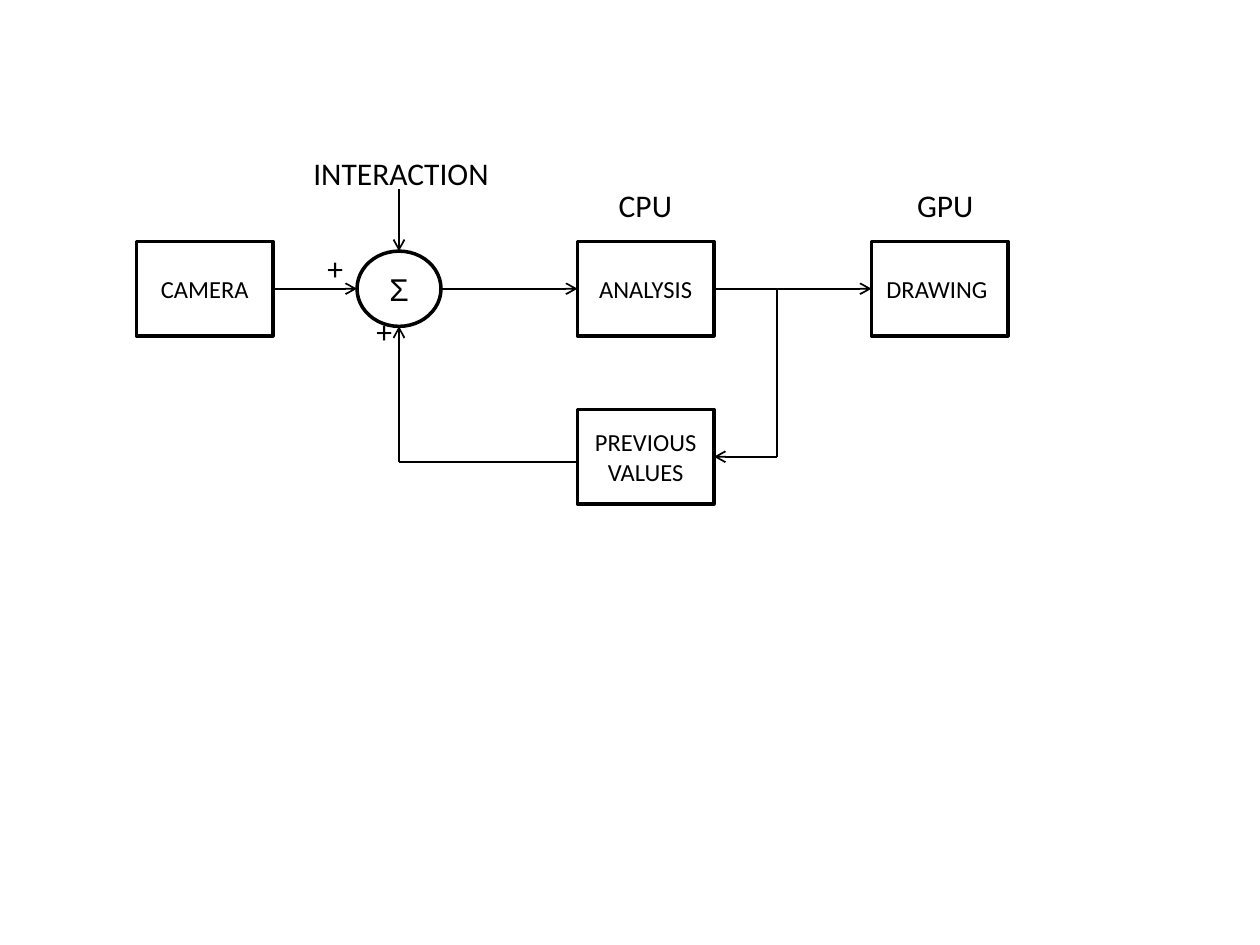
from dataclasses import dataclass

from lxml.etree import SubElement
from pptx import Presentation
from pptx.dml.color import RGBColor
from pptx.enum.shapes import MSO_CONNECTOR as CONN, MSO_SHAPE as SHAPE
from pptx.enum.text import MSO_ANCHOR as ANCHOR, MSO_AUTO_SIZE as AUTO, PP_ALIGN as ALIGN
from pptx.oxml.ns import qn
from pptx.util import Pt


@dataclass(frozen=True)
class Theme:
    ink: RGBColor = RGBColor(0, 0, 0)
    font: str = "Calibri"
    symbol_font: str = "Arial"
    box_size: int = 14
    label_size: int = 18
    outline: int = 2
    wire: int = 1


theme = Theme()


def add_node(shapes, kind, left, top, width, height):
    """Add an unfilled outlined shape."""
    s = shapes.add_shape(kind, Pt(left), Pt(top), Pt(width), Pt(height))
    s.shadow.inherit = False
    s.fill.background()
    s.line.color.rgb = theme.ink
    s.line.width = Pt(theme.outline)
    return s


def set_text(tf, text, size, font=theme.font, align=ALIGN.LEFT):
    """Write text, one paragraph per line, and format its runs."""
    tf.text = text
    for p in tf.paragraphs:
        p.alignment = align
        for r in p.runs:
            r.font.name = font
            r.font.size = Pt(size)
            r.font.color.rgb = theme.ink


prs = Presentation()
prs.slide_width, prs.slide_height = Pt(720), Pt(540)
slide = prs.slides.add_slide(prs.slide_layouts[6])

# Process boxes
box_w, box_h = 78, 54
camera_x, analysis_x, drawing_x = 78, 330, 498
main_top, feedback_top = 138, 234
boxes = [
    ("CAMERA", camera_x, main_top),
    ("ANALYSIS", analysis_x, main_top),
    ("DRAWING ", drawing_x, main_top),
    ("PREVIOUS\nVALUES", analysis_x, feedback_top),
]
for text, left, top in boxes:
    s = add_node(slide.shapes, SHAPE.RECTANGLE, left, top, box_w, box_h)
    s.text_frame.vertical_anchor = ANCHOR.MIDDLE
    set_text(s.text_frame, text, theme.box_size, align=ALIGN.CENTER)

# Summing junction
main_y = main_top + box_h / 2
sum_x, sum_w, sum_h = 228, 48, 43
sum_left, sum_right = sum_x - sum_w / 2, sum_x + sum_w / 2
sum_top, sum_bottom = main_y - sum_h / 2, main_y + sum_h / 2
junction = slide.shapes.add_group_shape()
add_node(junction.shapes, SHAPE.OVAL, sum_left, sum_top, sum_w, sum_h)

# Labels
label_h = 29
labels = [
    (junction.shapes, "Σ", 215.5, 150.5, 25, theme.symbol_font),
    (slide.shapes, "CPU", 346.5, 103, 45, theme.font),
    (slide.shapes, "GPU", 517, 102.5, 47, theme.font),
    (slide.shapes, "+", 180, 139, 24, theme.font),
    (slide.shapes, "+", 208, 175, 24, theme.font),
    (slide.shapes, "INTERACTION", 172, 84.5, 116, theme.font),
]
for shapes, text, left, top, width, font in labels:
    s = shapes.add_textbox(Pt(left), Pt(top), Pt(width), Pt(label_h))
    tf = s.text_frame
    tf.word_wrap = False
    tf.auto_size = AUTO.SHAPE_TO_FIT_TEXT
    set_text(tf, text, theme.label_size, font)

# Signal paths; only the last segment of each path has an arrowhead
branch_x, branch_y, return_y = 444, 261, 264
paths = [
    [(camera_x + box_w, main_y), (sum_left, main_y)],
    [(sum_right, main_y), (analysis_x, main_y)],
    [(analysis_x + box_w, main_y), (drawing_x, main_y)],
    [(sum_x, 108), (sum_x, sum_top)],
    [(branch_x, main_y), (branch_x, branch_y), (analysis_x + box_w, branch_y)],
    [(analysis_x, return_y), (sum_x, return_y), (sum_x, sum_bottom)],
]
for points in paths:
    for start, end in zip(points, points[1:]):
        c = slide.shapes.add_connector(CONN.STRAIGHT, *map(Pt, start + end))
        c.line.color.rgb = theme.ink
        c.line.width = Pt(theme.wire)
        if end == points[-1]:
            SubElement(c.line._get_or_add_ln(), qn("a:tailEnd"), type="arrow")
        SubElement(c._element.spPr, qn("a:effectLst"))

prs.save("out.pptx")
